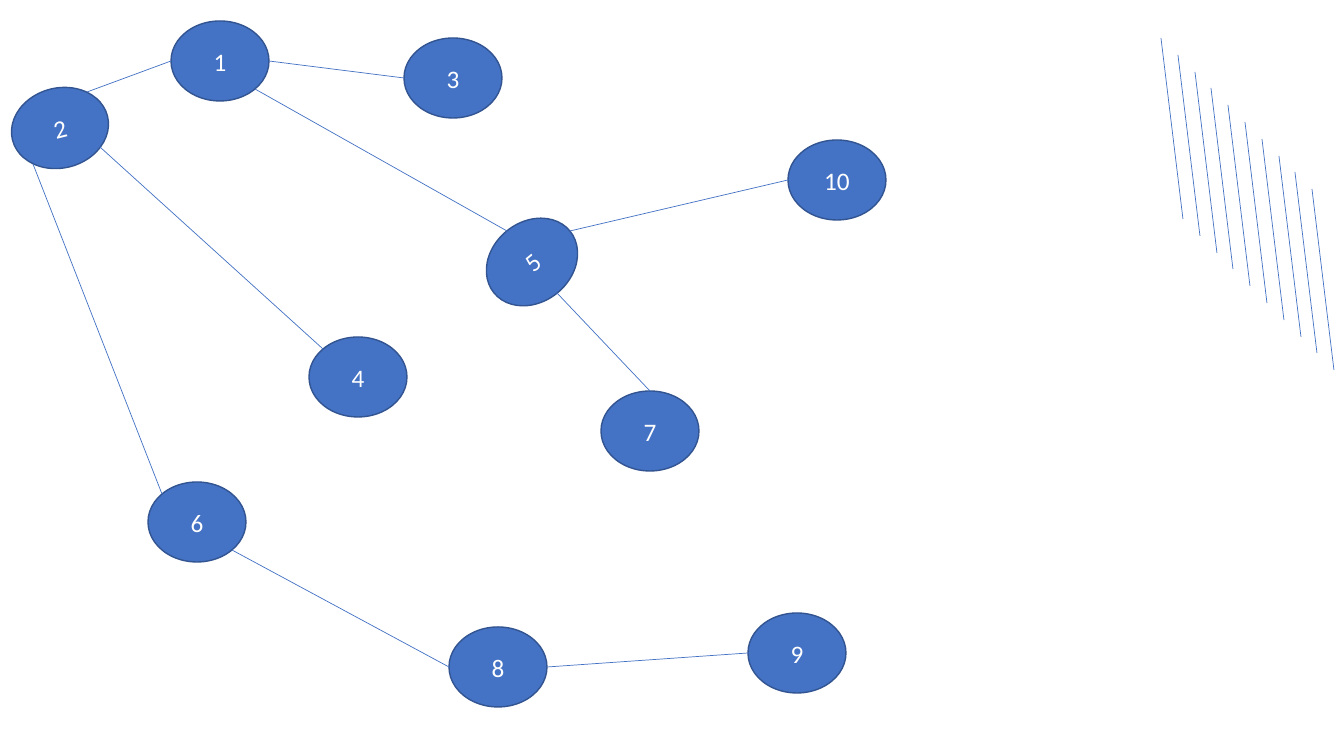
import math

from lxml import etree
from pptx import Presentation
from pptx.dml.color import RGBColor
from pptx.enum.shapes import MSO_CONNECTOR, MSO_SHAPE
from pptx.enum.text import MSO_ANCHOR, PP_ALIGN
from pptx.oxml.ns import qn
from pptx.util import Emu, Pt

OVAL = MSO_SHAPE.OVAL
STRAIGHT = MSO_CONNECTOR.STRAIGHT
MIDDLE = MSO_ANCHOR.MIDDLE
CENTER = PP_ALIGN.CENTER

NODE_WIDTH, NODE_HEIGHT = 98, 80
RIGHT, BOTTOM_RIGHT, BOTTOM, BOTTOM_LEFT, LEFT, TOP_LEFT, TOP, TOP_RIGHT = range(0, 360, 45)


def px(value):
    return Emu(round(value * 914400 / 100.8))


def color(hex_string):
    return RGBColor.from_string(hex_string)


class GraphSlide:
    font = "Calibri"
    font_size = 18
    blue = "4472C4"
    outline = "325491"
    white = "FFFFFF"

    def __init__(self, presentation):
        self.slide = presentation.slides.add_slide(presentation.slide_layouts[6])

    def node(self, label, left, top, rotation):
        oval = self.slide.shapes.add_shape(
            OVAL, px(left), px(top), px(NODE_WIDTH), px(NODE_HEIGHT))
        oval.rotation = rotation
        oval.shadow.inherit = False
        oval.fill.solid()
        oval.fill.fore_color.rgb = color(self.blue)
        oval.line.color.rgb = color(self.outline)
        oval.line.width = Pt(1)
        oval.text_frame.vertical_anchor = MIDDLE
        paragraph = oval.text_frame.paragraphs[0]
        paragraph.text = str(label)
        paragraph.alignment = CENTER
        paragraph.font.name = self.font
        paragraph.font.size = Pt(self.font_size)
        paragraph.font.color.rgb = color(self.white)

    def line(self, start, end):
        edge = self.slide.shapes.add_connector(STRAIGHT, *map(px, start + end))
        edge.line.color.rgb = color(self.blue)
        edge.line.width = Pt(0.5)
        etree.SubElement(edge._element.spPr, qn("a:effectLst"))


def rim_point(node, angle):
    left, top, rotation = node
    site, turn = math.radians(angle), math.radians(rotation)
    x = NODE_WIDTH / 2 * math.cos(site)
    y = NODE_HEIGHT / 2 * math.sin(site)
    return (round(left + NODE_WIDTH / 2 + x * math.cos(turn) - y * math.sin(turn)),
            round(top + NODE_HEIGHT / 2 + x * math.sin(turn) + y * math.cos(turn)))


nodes = {
    1: (171, 21, 0),
    2: (11, 88, 345.9),
    8: (449, 627, 0),
    3: (404, 38, 0),
    4: (309, 337, 0),
    5: (483, 222, 320.8),
    6: (148, 482, 0),
    7: (601, 391, 0),
    9: (748, 613, 0),
    10: (788, 140, 0),
}
edges = [
    (1, LEFT, 2, TOP_RIGHT),
    (3, LEFT, 1, RIGHT),
    (4, TOP_LEFT, 2, BOTTOM_RIGHT),
    (5, TOP, 1, BOTTOM_RIGHT),
    (5, BOTTOM, 7, TOP),
    (6, BOTTOM_RIGHT, 8, LEFT),
    (2, BOTTOM_LEFT, 6, TOP_LEFT),
    (10, LEFT, 5, RIGHT),
    (9, LEFT, 8, RIGHT),
]
spare_edge_count, spare_edge_step = 10, 16.8

presentation = Presentation()
presentation.slide_width, presentation.slide_height = px(1344), px(756)
graph = GraphSlide(presentation)

for label, placement in nodes.items():
    graph.node(label, *placement)
for source, source_side, target, target_side in edges:
    graph.line(rim_point(nodes[source], source_side), rim_point(nodes[target], target_side))
for index in range(spare_edge_count):
    offset = round(index * spare_edge_step)
    x, y = 1161 + offset, 38 + offset
    graph.line((x, y), (x + 22, y + 181))

presentation.save("out.pptx")
